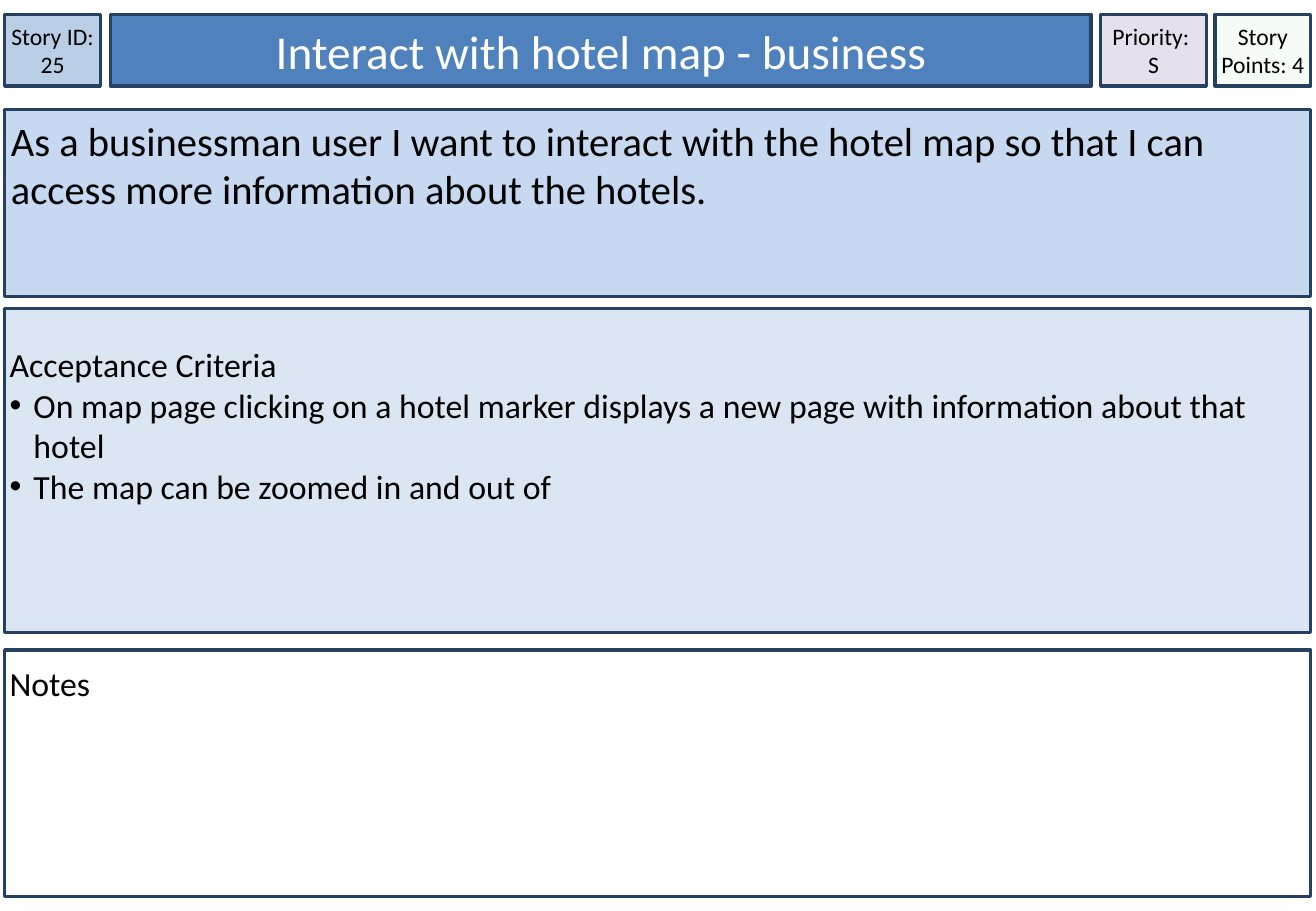
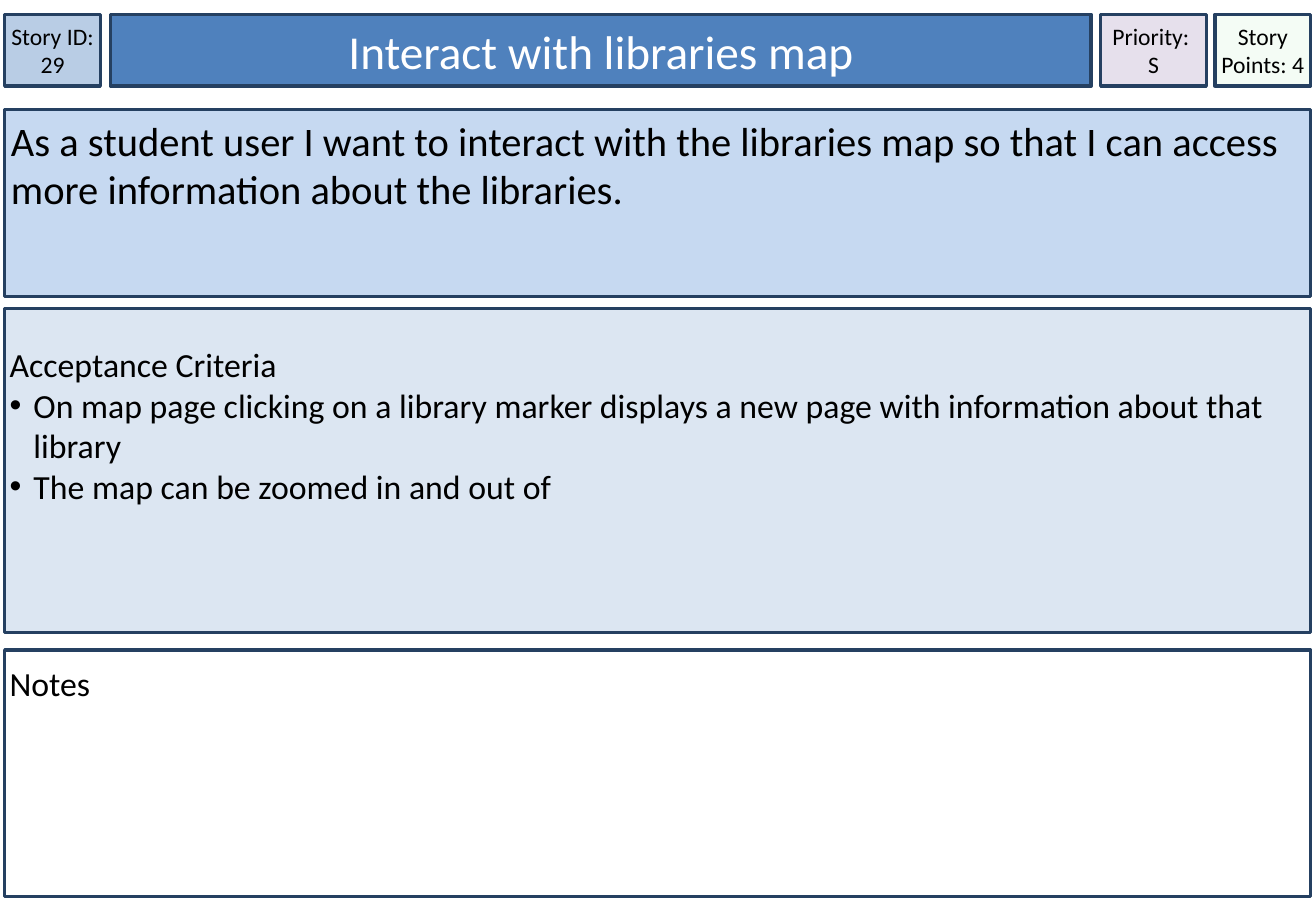
from dataclasses import dataclass

from lxml import etree
from pptx import Presentation
from pptx import util as u
from pptx.dml.color import RGBColor
from pptx.enum import shapes, text
from pptx.oxml.ns import qn


@dataclass(frozen=True)
class Theme:
    font: str = "Calibri"
    # Colours
    ink: str = "000000"
    light: str = "FFFFFF"
    edge: str = "254061"
    label: str = "B9CDE5"
    title: str = "4F81BD"
    rank: str = "E6E0EC"
    points: str = "CCF0CD"
    story: str = "C6D9F1"
    tests: str = "DCE6F2"
    notes: str = "FFFFFF"
    # Type sizes and line width in points
    small: int = 14
    body: int = 20
    lead: int = 24
    head: int = 28
    line: int = 2


class Deck:
    # Layout in centimetres
    left, wide = 0.1, 27.3
    top, high = 0.3, 1.5

    def __init__(self, theme):
        self.theme = theme
        self.prs = Presentation()
        self.prs.slide_width = u.Cm(27.51)
        self.prs.slide_height = u.Cm(19.05)
        self.slide = None

    def page(self):
        self.slide = self.prs.slides.add_slide(self.prs.slide_layouts[6])

    def box(self, x, y, w, h, fill, alpha=None):
        """Outlined rectangle; alpha is the opacity in percent."""
        box = self.slide.shapes.add_shape(
            shapes.MSO_SHAPE.RECTANGLE, u.Cm(x), u.Cm(y), u.Cm(w), u.Cm(h))
        box.shadow.inherit = False
        box.fill.solid()
        box.fill.fore_color.rgb = RGBColor.from_string(fill)
        box.line.color.rgb = RGBColor.from_string(self.theme.edge)
        box.line.width = u.Pt(self.theme.line)
        if alpha is not None:
            tint = box.fill._xPr.find(qn("a:solidFill"))[0]
            etree.SubElement(tint, qn("a:alpha"), val=str(alpha * 1000))

    def text(self, x, y, w, h, lines, size, color=None, pad=0.1,
             center=False):
        frame = self.slide.shapes.add_textbox(
            u.Cm(x), u.Cm(y), u.Cm(w), u.Cm(h)).text_frame
        frame.word_wrap = True
        frame.margin_left = frame.margin_right = u.Cm(pad)
        frame.margin_top = frame.margin_bottom = u.Cm(pad)
        if center:
            frame.vertical_anchor = text.MSO_ANCHOR.MIDDLE
        frame.text = "\n".join(lines)
        for para in frame.paragraphs:
            if center:
                para.alignment = text.PP_ALIGN.CENTER
            for run in para.runs:
                run.font.name = self.theme.font
                run.font.size = u.Pt(size)
                run.font.color.rgb = RGBColor.from_string(
                    color or self.theme.ink)
        return frame

    def bullet(self, para):
        props = para._p.get_or_add_pPr()
        props.set("marL", str(u.Cm(0.5)))
        props.set("indent", str(-u.Cm(0.5)))
        etree.SubElement(props, qn("a:buFont"), typeface="Arial")
        etree.SubElement(props, qn("a:buChar"), char="•")

    def cell(self, x, w, fill, lines, high, size=None, color=None, pad=0,
             alpha=None):
        """Header box with text centred on it."""
        self.box(x, self.top, w, self.high, fill, alpha)
        self.text(x, self.top + (self.high - high) / 2, w, high, lines,
                  size or self.theme.small, color, pad, center=True)

    def panel(self, y, h, fill, lines, size, drop, high, pad=0.1):
        """Full-width box with text starting a little below its top."""
        self.box(self.left, y, self.wide, h, fill)
        return self.text(self.left, y + drop, self.wide, high, lines,
                         size, pad=pad)

    def card(self, ident, title, story, tests, rank, points):
        t = self.theme
        self.page()
        # Header row
        self.cell(self.left, 2, t.label, [f"Story ID: {ident}"], 1.2)
        self.cell(2.31, 20.5, t.title, [title], 1.45, t.head, t.light, 0.13)
        self.cell(25.4, 2, t.points, [f"Story Points: {points}"], 1.78,
                  alpha=20)
        self.cell(23.01, 2.21, t.rank, ["Priority: ", rank], 1.2)
        # Story, criteria and notes
        self.panel(2.29, 3.91, t.story, [story], t.lead, 0, 3.53, 0.13)
        frame = self.panel(6.45, 6.78, t.tests,
                           ["Acceptance Criteria", *tests], t.body, 0.64, 6.1)
        for para in frame.paragraphs[1:]:
            self.bullet(para)
        self.panel(13.59, 5.16, t.notes, ["Notes"], t.body, 0.18, 4.9)


CARDS = [
    (25, "Interact with hotel map - business", "businessman", "hotel",
     "hotel", "hotels"),
    (29, "Interact with libraries map", "student", "libraries",
     "library", "libraries"),
]

deck = Deck(Theme())
for ident, title, user, area, place, places in CARDS:
    deck.card(
        ident, title,
        f"As a {user} user I want to interact with the {area} map so that "
        f"I can access more information about the {places}.",
        [f"On map page clicking on a {place} marker displays a new page "
         f"with information about that {place}",
         "The map can be zoomed in and out of"],
        rank="S", points=4)
deck.prs.save("out.pptx")
